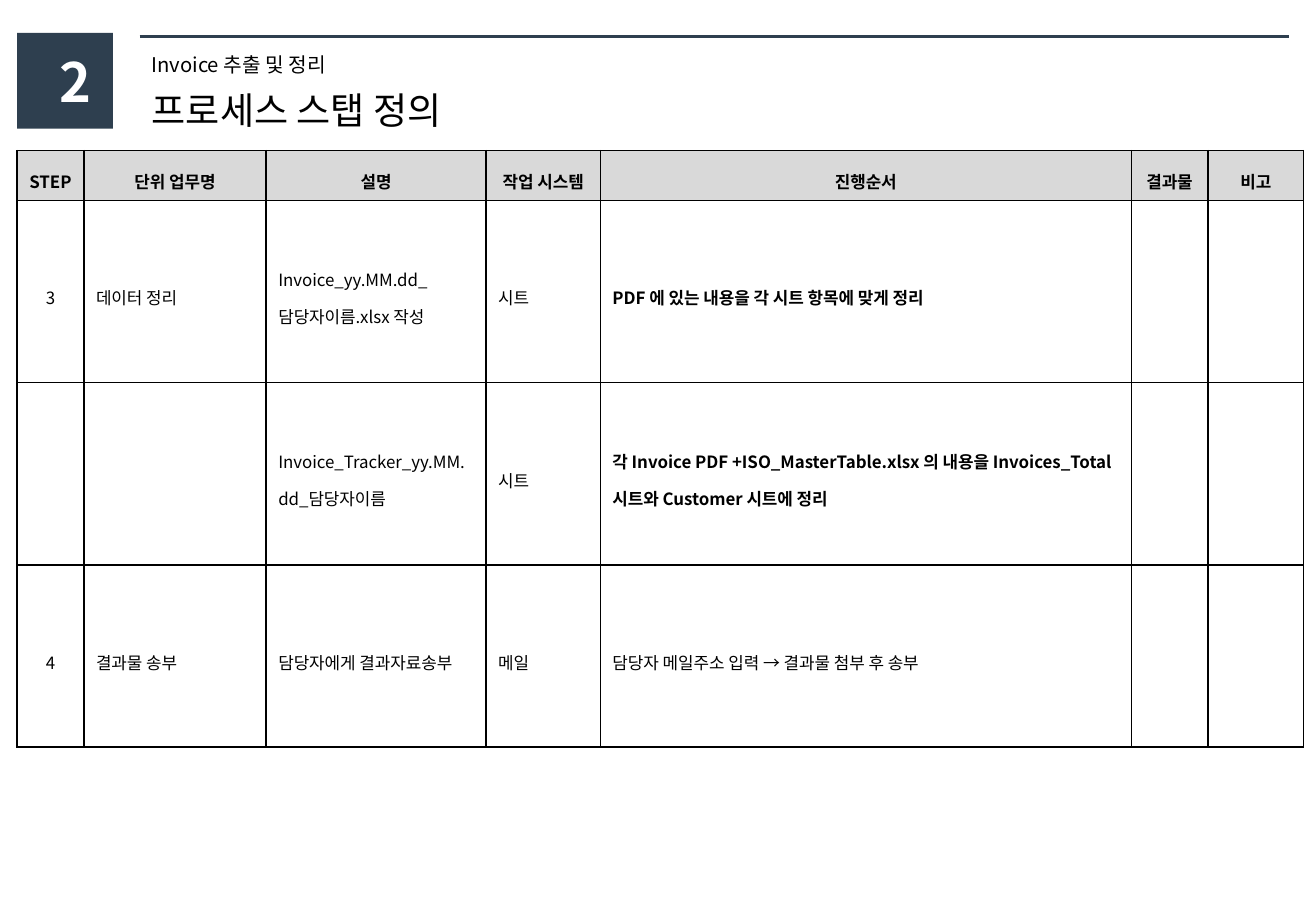
import pptx
import pptx.dml.color
import pptx.enum.shapes
import pptx.enum.text
import pptx.oxml.ns
import pptx.util
from lxml import etree

# Content
SECTION_NUMBER = "2"
SUBTITLE = "Invoice 추출 및 정리"
TITLE = "프로세스 스탭 정의"
HEADERS = ["STEP", "단위 업무명", "설명", "작업 시스템", "진행순서", "결과물", "비고"]
STEPS = [
    ["3", "데이터 정리", "Invoice_yy.MM.dd_담당자이름.xlsx 작성", "시트",
     "PDF 에 있는 내용을 각 시트 항목에 맞게 정리", "", ""],
    ["", "", "Invoice_Tracker_yy.MM.dd_담당자이름", "시트",
     "각 Invoice PDF +ISO_MasterTable.xlsx 의 내용을 "
     "Invoices_Total 시트와 Customer 시트에 정리", "", ""],
    ["4", "결과물 송부", "담당자에게 결과자료송부", "메일",
     "담당자 메일주소 입력 → 결과물 첨부 후 송부", "", ""],
]
BOLD_CELLS = {(1, 4), (2, 4)}

# Look and sizes, 100 px to the inch
FONT = "Noto Sans CJK KR"
NAVY, BLACK, WHITE, GREY = "2E3F4F", "000000", "FFFFFF", "D9D9D9"
COLUMN_WIDTHS = [55, 150, 181, 94, 437, 63, 79]
ROW_HEIGHTS = [41, 150, 150, 150]
LEFT, CENTER = pptx.enum.text.PP_ALIGN.LEFT, pptx.enum.text.PP_ALIGN.CENTER


def px(length):
    return pptx.util.Emu(length * 9144)


def color(value):
    return pptx.dml.color.RGBColor.from_string(value)


def write(text_frame, text, size, ink=BLACK, bold=False, align=LEFT, spacing=None):
    text_frame.text = text
    paragraph = text_frame.paragraphs[0]
    paragraph.alignment = align
    paragraph.line_spacing = spacing
    for run in paragraph.runs:
        run.font.name = FONT
        run.font.size = pptx.util.Pt(size)
        run.font.bold = bold
        run.font.color.rgb = color(ink)
        east_asian = etree.SubElement(run.font._element, pptx.oxml.ns.qn("a:ea"))
        east_asian.set("typeface", FONT)


def place(shape, left, top, width, height):
    shape.left, shape.top = px(left), px(top)
    shape.width, shape.height = px(width), px(height)


def add_borders(cell):
    properties = cell._tc.get_or_add_tcPr()
    for position, side in enumerate(("lnL", "lnR", "lnT", "lnB")):
        line = etree.Element(pptx.oxml.ns.qn("a:" + side), w=str(pptx.util.Pt(1)))
        fill = etree.SubElement(line, pptx.oxml.ns.qn("a:solidFill"))
        etree.SubElement(fill, pptx.oxml.ns.qn("a:srgbClr"), val=BLACK)
        properties.insert(position, line)


presentation = pptx.Presentation()
presentation.slide_width, presentation.slide_height = px(1083), px(750)
slide = presentation.slides.add_slide(presentation.slide_layouts[5])
shapes = slide.shapes

# Header rule
rule = shapes.add_connector(
    pptx.enum.shapes.MSO_CONNECTOR.STRAIGHT, px(115), px(30), px(1061), px(30))
rule.line.color.rgb = color(NAVY)
rule.line.width = pptx.util.Pt(1.5)
etree.SubElement(rule._element.spPr, pptx.oxml.ns.qn("a:effectLst"))

# Section number
square = shapes.add_shape(
    pptx.enum.shapes.MSO_SHAPE.RECTANGLE, px(14), px(27), px(79), px(79))
square.shadow.inherit = False
square.fill.solid()
square.fill.fore_color.rgb = color(NAVY)
square.line.fill.background()
number = shapes.add_textbox(px(39), px(35), px(28), px(64))
number.text_frame.word_wrap = True
write(number.text_frame, SECTION_NUMBER, 32, WHITE, True, CENTER)

# Subtitle and title
subtitle = shapes.add_textbox(px(115), px(38), px(176), px(30))
subtitle.text_frame.word_wrap = False
write(subtitle.text_frame, SUBTITLE, 12)
title = shapes.title
place(title, 115, 67, 289, 47)
title.text_frame.word_wrap = False
title.text_frame.auto_size = pptx.enum.text.MSO_AUTO_SIZE.NONE
title.text_frame.vertical_anchor = pptx.enum.text.MSO_ANCHOR.TOP
write(title.text_frame, TITLE, 22)

# Process table
rows = [HEADERS] + STEPS
table = shapes.add_table(
    len(rows), len(HEADERS), px(14), px(124),
    px(sum(COLUMN_WIDTHS)), px(sum(ROW_HEIGHTS))).table
for column, width in zip(table.columns, COLUMN_WIDTHS):
    column.width = px(width)
for row, height in zip(table.rows, ROW_HEIGHTS):
    row.height = px(height)
for row_index, texts in enumerate(rows):
    is_header = row_index == 0
    for column_index, text in enumerate(texts):
        cell = table.cell(row_index, column_index)
        cell.vertical_anchor = pptx.enum.text.MSO_ANCHOR.MIDDLE
        cell.fill.solid()
        cell.fill.fore_color.rgb = color(GREY if is_header else WHITE)
        add_borders(cell)
        write(cell.text_frame, text, 10,
              bold=is_header or (row_index, column_index) in BOLD_CELLS,
              align=CENTER if is_header or column_index == 0 else LEFT,
              spacing=1.5)

presentation.save("out.pptx")
